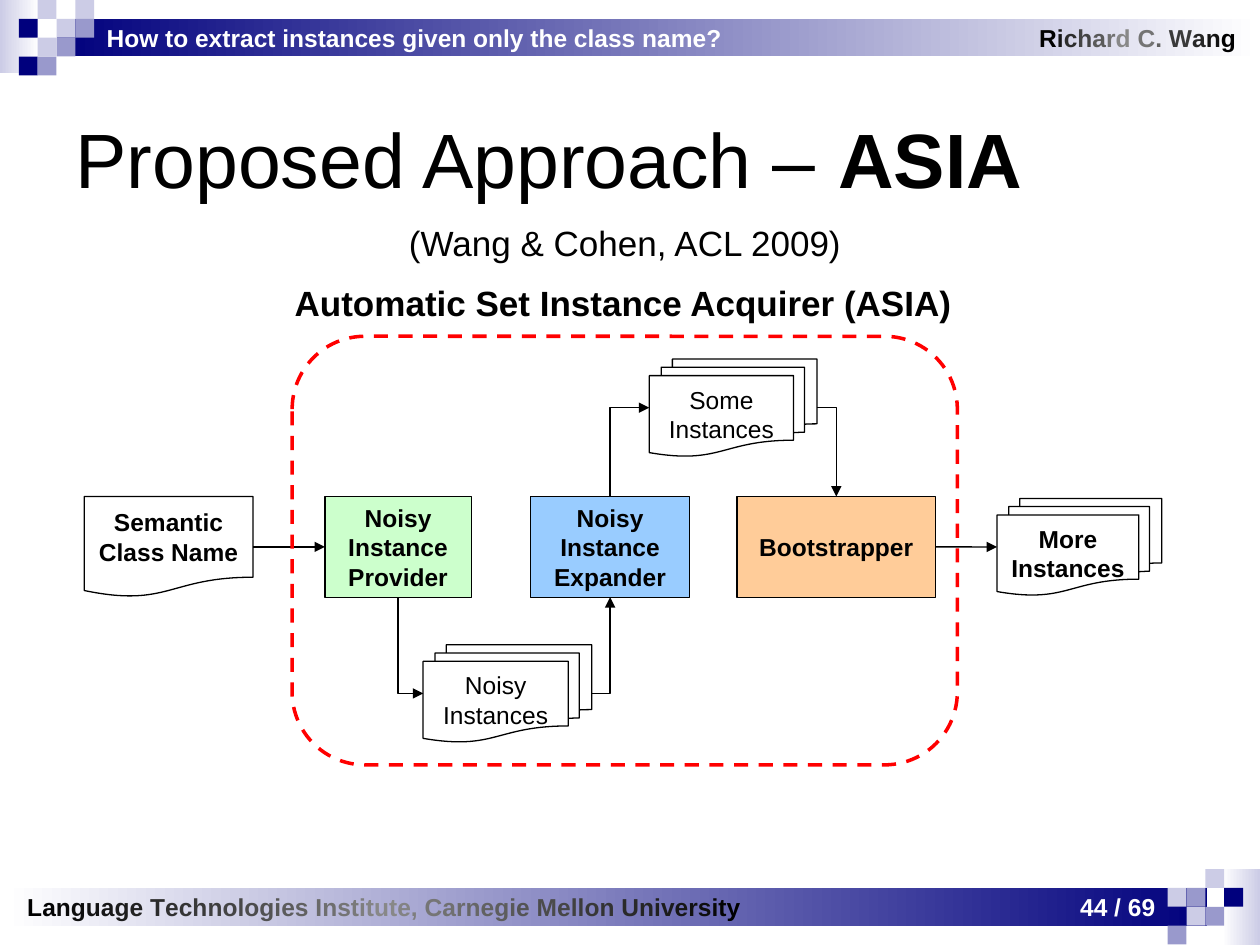
from lxml import etree
from pptx import Presentation
from pptx.dml.color import RGBColor
from pptx.enum.dml import MSO_LINE
from pptx.enum.shapes import MSO_CONNECTOR, MSO_SHAPE
from pptx.enum.text import MSO_ANCHOR, PP_ALIGN
from pptx.oxml.ns import qn
from pptx.util import Cm, Pt

RECT, ROUND = MSO_SHAPE.RECTANGLE, MSO_SHAPE.ROUNDED_RECTANGLE
DOC, STACK = MSO_SHAPE.FLOWCHART_DOCUMENT, MSO_SHAPE.FLOWCHART_MULTIDOCUMENT
LEFT, MID, RIGHT = PP_ALIGN.LEFT, PP_ALIGN.CENTER, PP_ALIGN.RIGHT
TOP, LOW, WEST, EAST = 0, 2, 1, 3
FONT = "Arial"
CELL = 0.38
PEAK = 0x88
INK = {
    "black": "000000", "white": "FFFFFF", "red": "FF0000",
    "navy": "00007D", "mid": "9999CC", "pale": "CCCCE6",
    "green": "CCFFCC", "blue": "99CCFF", "peach": "FFCC99",
}
TILES = {"n": "navy", "m": "mid", "p": "pale"}


def rgb(name):
    """Return the named colour."""
    return RGBColor.from_string(INK[name])


def style(run, size, bold, color):
    """Format one run."""
    font = run.font
    font.name, font.size, font.bold = FONT, Pt(size), bold
    font.color.rgb = color


def write(frame, text, size=14, bold=True, color="black", align=LEFT):
    """Fill a text frame with one formatted paragraph."""
    frame.word_wrap = True
    frame.vertical_anchor = MSO_ANCHOR.MIDDLE
    para = frame.paragraphs[0]
    para.text, para.alignment = text, align
    style(para.runs[0], size, bold, rgb(color))


def label(slide, box, text, **look):
    """Add a text box."""
    frame = slide.shapes.add_textbox(*map(Cm, box)).text_frame
    write(frame, text, **look)


def fade(slide, box, text):
    """Add a text box whose letters run from black to grey and back."""
    frame = slide.shapes.add_textbox(*map(Cm, box)).text_frame
    frame.word_wrap = True
    frame.vertical_anchor = MSO_ANCHOR.MIDDLE
    last, half = len(text) - 1, len(text) // 2
    for i, char in enumerate(text):
        rise, fall = i * PEAK // (half - 1), (last - i) * PEAK // (last - half)
        run = frame.paragraphs[0].add_run()
        run.text = char
        style(run, 14, True, RGBColor(*[min(rise, fall)] * 3))


def shape(slide, kind, box, fill=None, line=None, width=0.75):
    """Add a flat preset shape."""
    item = slide.shapes.add_shape(kind, *map(Cm, box))
    item.shadow.inherit = False
    if fill:
        item.fill.solid()
        item.fill.fore_color.rgb = rgb(fill)
    else:
        item.fill.background()
    if line:
        item.line.color.rgb = rgb(line)
        item.line.width = Pt(width)
    else:
        item.line.fill.background()
    return item


def blend(slide, box, start, end):
    """Add a rectangle that blends from left to right."""
    fill = shape(slide, RECT, box).fill
    fill.gradient()
    fill.gradient_angle = 0
    for stop, name in zip(fill.gradient_stops, (start, end)):
        stop.color.rgb = rgb(name)


def tiles(slide, x, y, rows):
    """Lay square tiles on a grid, one letter a tile."""
    for r, row in enumerate(rows):
        for c, key in enumerate(row):
            if key in TILES:
                box = (x + c * CELL, y + r * CELL, CELL, CELL)
                shape(slide, RECT, box, TILES[key])


def header(slide, box):
    """Draw the top band with its topic and author."""
    x, y, w, h = box
    blend(slide, (x, y, 0.79, h), "pale", "white")
    blend(slide, (x + 1.14, y + CELL, w - 1.14, 2 * CELL), "navy", "white")
    tiles(slide, x, y, ("..p.p", ".n.pm", "..pm.", ".nm.."))
    fade(slide, (x + 20.7, y + 0.13, 4.6, 1.27), "Richard C. Wang")
    label(slide, (x + 1.9, y + 0.13, 17.8, 1.27),
          "How to extract instances given only the class name?", color="white")


def footer(slide, box):
    """Draw the bottom band with the institute and page number."""
    x, y, w, h = box
    blend(slide, (x + w - 0.76, y, 0.76, h), "white", "pale")
    blend(slide, (x + 0.1, y + CELL, 24.23, 2 * CELL), "white", "navy")
    tiles(slide, x + 23.54, y, ("..p.", "pm.n", ".pm.", "m..."))
    fade(slide, (x + 0.3, y + 0.13, 20.4, 1.27),
         "Language Technologies Institute, Carnegie Mellon University")
    label(slide, (x + 21.1, y + 0.13, 2.44, 1.27), "44 / 69",
          color="white", align=RIGHT)


def heading(slide, box):
    """Place the title and the citation below it."""
    x, y, w, h = box
    title = slide.shapes.title
    title.left, title.top, title.width, title.height = map(Cm, box)
    write(title.text_frame, "Proposed Approach – ", size=44, bold=False)
    run = title.text_frame.paragraphs[0].add_run()
    run.text = "ASIA"
    style(run, 44, True, rgb("black"))
    label(slide, (x + 5.03, y + 3.05, 12.6, 1.12), "(Wang & Cohen, ACL 2009)",
          size=20, bold=False, align=MID)


def link(slide, start, out, end, into):
    """Join two nodes with a straight or one-bend arrow."""
    bent = out in (TOP, LOW) or into in (TOP, LOW)
    kind = MSO_CONNECTOR.ELBOW if bent else MSO_CONNECTOR.STRAIGHT
    wire = slide.shapes.add_connector(kind, 0, 0, 0, 0)
    wire.begin_connect(start, out)
    wire.end_connect(end, into)
    wire.line.color.rgb = rgb("black")
    wire.line.width = Pt(0.75)
    props = wire._element.spPr
    if bent:
        props.find(qn("a:prstGeom")).set("prst", "bentConnector2")
    if out in (TOP, LOW):
        wide, tall = wire.width, wire.height
        wire.left += (wide - tall) // 2
        wire.top += (tall - wide) // 2
        wire.width, wire.height = tall, wide
        frame = props.find(qn("a:xfrm"))
        frame.set("rot", str((90 if out == TOP else 270) * 60000))
        frame.set("flipH", "1")
        frame.set("flipV", "1" if out == TOP else "0")
    etree.SubElement(wire.line._get_or_add_ln(), qn("a:tailEnd"), type="triangle")
    etree.SubElement(props, qn("a:effectLst"))


def flow(slide, box):
    """Draw the nodes, the arrows and the dashed system frame."""
    x, y, w, h = box
    nodes = {}
    for text, kind, left, top, wide, tall, fill, bold in (
        ("Noisy Instance Provider", RECT, 4.85, 4.47, 2.95, 2.03, "green", True),
        ("Noisy Instance Expander", RECT, 9, 4.47, 3.2, 2.03, "blue", True),
        ("Bootstrapper", RECT, 13.16, 4.47, 4, 2.03, "peach", True),
        ("Semantic Class Name", DOC, 0, 4.47, 3.4, 2.03, None, True),
        ("Noisy Instances", STACK, 6.83, 7.46, 3.4, 1.96, None, False),
        ("Some Instances", STACK, 11.39, 1.7, 3.38, 1.96, None, False),
        ("More Instances", STACK, 18.4, 4.51, 3.32, 1.95, None, True),
    ):
        node = shape(slide, kind, (x + left, y + top, wide, tall), fill, "black")
        write(node.text_frame, text, bold=bold, align=MID)
        nodes[text.split()[-1] if kind == RECT else text.split()[0]] = node
    for start, out, end, into in (
        ("Semantic", EAST, "Provider", WEST),
        ("Provider", LOW, "Noisy", WEST),
        ("Noisy", EAST, "Expander", LOW),
        ("Expander", TOP, "Some", WEST),
        ("Some", EAST, "Bootstrapper", TOP),
        ("Bootstrapper", EAST, "More", WEST),
    ):
        link(slide, nodes[start], out, nodes[end], into)
    edge = shape(slide, ROUND, (x + 4.19, y + 1.24, 13.41, 8.64), None, "red", 2)
    edge.adjustments[0] = 0.17
    edge.line.dash_style = MSO_LINE.DASH
    label(slide, (x + 3.99, y, 13.82, 1.12),
          "Automatic Set Instance Acquirer (ASIA)", size=20)


def main():
    """Build and save the slide."""
    deck = Presentation()
    deck.slide_width, deck.slide_height = Cm(25.4), Cm(19.05)
    slide = deck.slides.add_slide(deck.slide_layouts[5])
    footer(slide, (0, 17.52, 25.4, 1.53))
    header(slide, (0, 0, 25.4, 1.47))
    heading(slide, (1.27, 1.27, 22.86, 3.81))
    flow(slide, (1.7, 5.54, 21.72, 9.88))
    deck.save("out.pptx")


if __name__ == "__main__":
    main()
